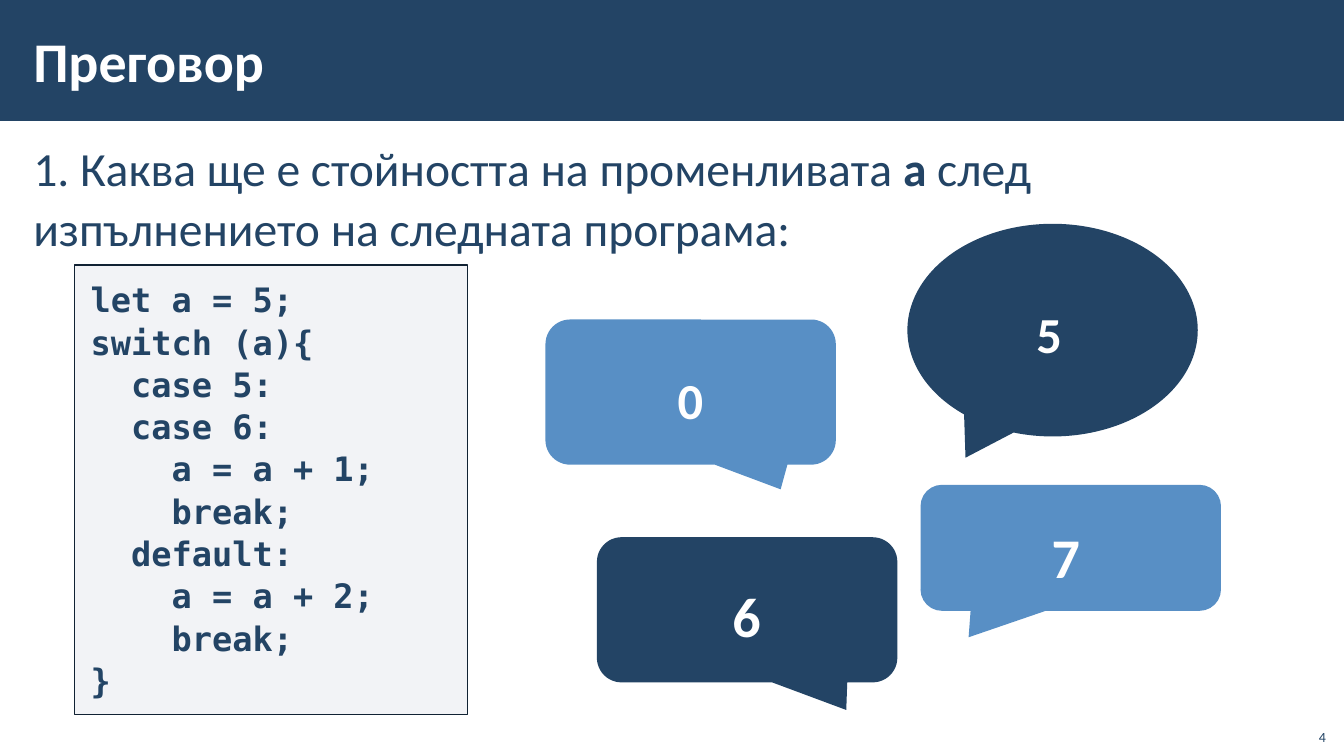
from dataclasses import dataclass

from lxml.etree import SubElement
from pptx import Presentation
from pptx.dml.color import RGBColor
from pptx.enum.shapes import MSO_SHAPE
from pptx.enum.text import MSO_ANCHOR, MSO_AUTO_SIZE, PP_ALIGN
from pptx.oxml.ns import qn
from pptx.util import Pt

PX = 9144  # 100 px to the inch


@dataclass(frozen=True)
class Theme:
    navy: str = "234465"
    blue: str = "588FC5"
    white: str = "FFFFFF"
    code_fill: str = "ADB4C3"
    code_line: str = "112233"
    font: str = "Calibri"
    code_font: str = "DejaVu Sans Mono"
    title: int = 40
    question: int = 34
    code: int = 24
    number: int = 10


THEME = Theme()


def emu(*lengths):
    return [length * PX for length in lengths]


def paint(shape, color):
    shape.shadow.inherit = False
    shape.fill.solid()
    shape.fill.fore_color.rgb = RGBColor.from_string(color)
    shape.line.fill.background()


def set_frame(shape, insets, anchor=MSO_ANCHOR.TOP, grow=False):
    frame = shape.text_frame
    frame.word_wrap = True
    frame.auto_size = MSO_AUTO_SIZE.SHAPE_TO_FIT_TEXT if grow else MSO_AUTO_SIZE.NONE
    frame.vertical_anchor = anchor
    (frame.margin_left, frame.margin_top,
     frame.margin_right, frame.margin_bottom) = emu(*insets)
    return frame


def style(para, size, color, bold=False, font=THEME.font, align=PP_ALIGN.LEFT, spacing=1.0):
    para.alignment = align
    para.line_spacing = spacing
    para.font.name = font
    para.font.size = Pt(size)
    para.font.bold = bold
    para.font.color.rgb = RGBColor.from_string(color)


# Title on a full-width band
def add_header(page, box, text):
    left, top, width, height = box
    band = page.shapes.add_shape(MSO_SHAPE.RECTANGLE, *emu(*box))
    paint(band, THEME.navy)
    title = page.shapes.title
    title.left, title.top, title.width, title.height = emu(
        left + 21, top + 11, width - 271, height - 23)
    frame = set_frame(title, (12, 4, 12, 4), MSO_ANCHOR.MIDDLE)
    frame.text = text
    style(frame.paragraphs[0], THEME.title, THEME.white, bold=True)
    band.element.addnext(title.element)  # title in front of the band


# Question, with the variable name in bold
def add_question(page, box, before, variable, after, second_line):
    frame = set_frame(page.shapes.add_textbox(*emu(*box)), (12, 4, 12, 4))
    para = frame.paragraphs[0]
    style(para, THEME.question, THEME.navy, spacing=1.05)
    para.space_before = para.space_after = Pt(6)
    para.add_run().text = before
    span = para.add_run()
    span.text = variable
    span.font.bold = True
    para.add_run().text = after
    para.add_line_break()
    para.add_run().text = second_line


# Program listing on a translucent panel
def add_code(page, box, program):
    panel = page.shapes.add_shape(MSO_SHAPE.RECTANGLE, *emu(*box))
    paint(panel, THEME.code_fill)
    color = panel.fill._xPr.find(qn("a:solidFill"))[0]
    SubElement(color, qn("a:alpha"), val="15000")
    panel.line.color.rgb = RGBColor.from_string(THEME.code_line)
    panel.line.width = Pt(1)
    frame = set_frame(panel, (16, 12, 16, 12), grow=True)
    frame.text = program
    for para in frame.paragraphs:
        style(para, THEME.code, THEME.navy, bold=True, font=THEME.code_font, spacing=1.05)


# Answer: a speech callout grouped with its label
def add_answer(page, box, preset, adjustments, color, text, size, label,
               align=PP_ALIGN.CENTER, inset=16, spacing=1.1):
    left, top, width, height = box
    group = page.shapes.add_group_shape()
    callout = group.shapes.add_shape(preset, *emu(*box))
    for index, value in enumerate(adjustments):
        callout.adjustments[index] = value
    paint(callout, color)
    shift_x, shift_y, label_width, label_height = label
    caption = group.shapes.add_textbox(
        *emu(left + shift_x, top + shift_y, label_width, label_height))
    frame = set_frame(caption, (inset, 12, 16, 12), grow=True)
    frame.text = text
    style(frame.paragraphs[0], size, THEME.white, bold=True, align=align, spacing=spacing)


def add_page_number(page, box, text):
    frame = set_frame(page.shapes.add_textbox(*emu(*box)), (10, 5, 10, 5), MSO_ANCHOR.BOTTOM)
    frame.text = text
    style(frame.paragraphs[0], THEME.number, THEME.navy, align=PP_ALIGN.RIGHT)


PROGRAM = """let a = 5;
switch (a){
  case 5:
  case 6:
    a = a + 1;
    break;
  default:
    a = a + 2;
    break;
}"""


def add_quiz_page(deck):
    page = deck.slides.add_slide(deck.slide_layouts[5])
    add_header(page, (0, 0, 1334, 120), "Преговор")
    add_code(page, (74, 263, 390, 446), PROGRAM)
    add_question(page, (21, 131, 1292, 608), "1. Каква ще е стойността на променливата ",
                 "а ", "след ", "изпълнението на следната програма:")
    rounded = MSO_SHAPE.ROUNDED_RECTANGULAR_CALLOUT
    add_answer(page, (900, 222, 288, 211), MSO_SHAPE.OVAL_CALLOUT, (-0.3, 0.6), THEME.navy,
               "5", 36, (62, 67, 171, 84), PP_ALIGN.LEFT, inset=66, spacing=1.0)
    add_answer(page, (913, 481, 298, 125), rounded, (-0.34, 0.71, 0.17), THEME.blue,
               "7", 40, (-3, 19, 294, 94))
    add_answer(page, (541, 317, 288, 144), rounded, (0.31, 0.67, 0.17), THEME.blue,
               "0", 36, (115, 31, 91, 87), PP_ALIGN.LEFT)
    add_answer(page, (592, 533, 298, 144), rounded, (0.33, 0.69, 0.17), THEME.navy,
               "6", 40, (14, 25, 269, 94))
    add_page_number(page, (1285, 712, 40, 32), "4")


def main():
    deck = Presentation()
    deck.slide_width, deck.slide_height = emu(1333, 750)
    add_quiz_page(deck)
    deck.save("out.pptx")


if __name__ == "__main__":
    main()
